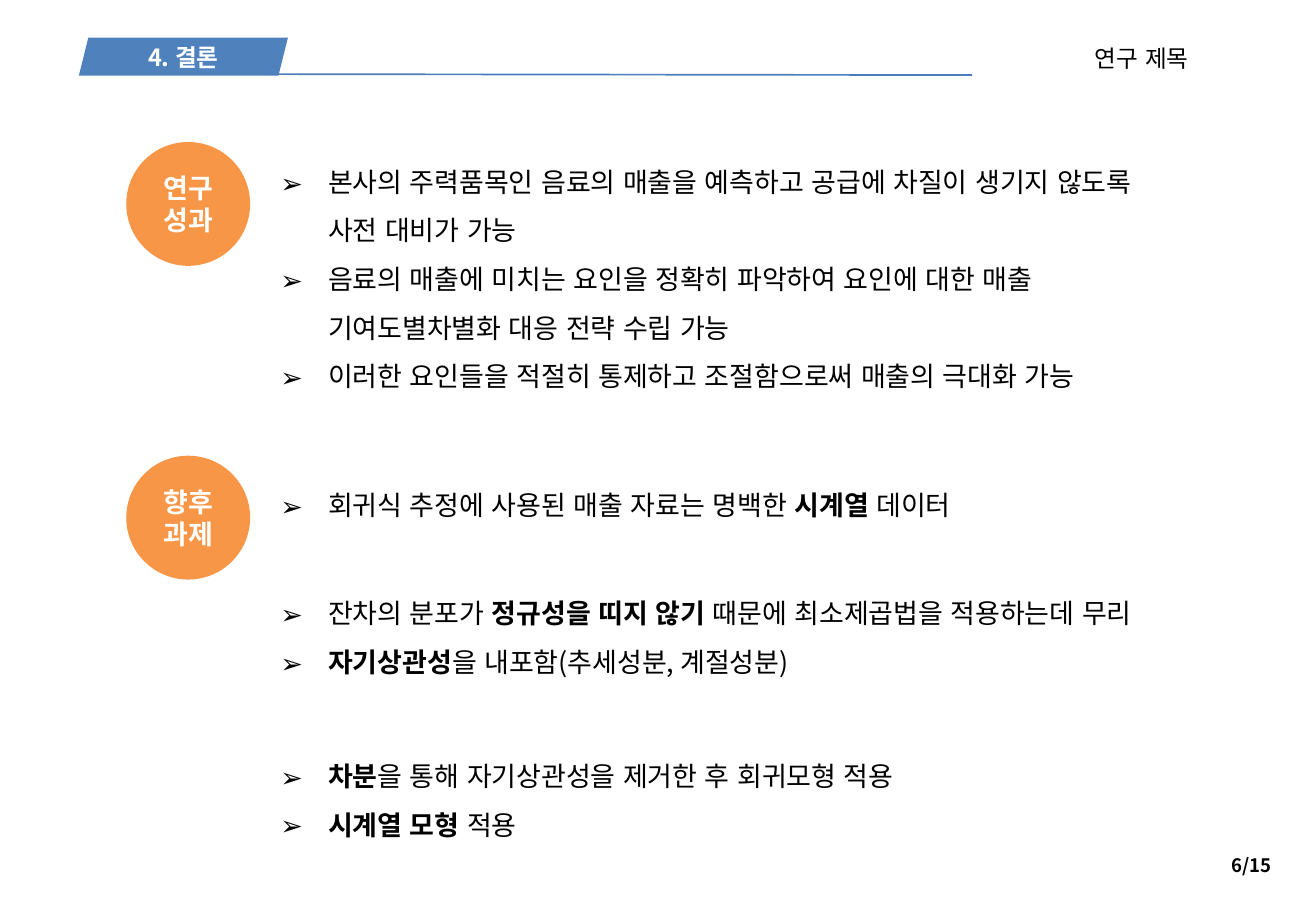
from lxml import etree
from pptx import Presentation
from pptx.dml.color import RGBColor
from pptx.enum import lang, shapes, text
from pptx.oxml import ns
from pptx.util import Cm, Pt

FONT = "Noto Sans CJK KR"
BLACK = RGBColor(0x00, 0x00, 0x00)
WHITE = RGBColor(0xFF, 0xFF, 0xFF)
BLUE = RGBColor(0x4F, 0x81, 0xBD)
RULE_BLUE = RGBColor(0x4B, 0x7E, 0xBC)
ORANGE = RGBColor(0xF7, 0x96, 0x46)
LEFT, CENTER, RIGHT, JUSTIFY = (
    text.PP_ALIGN.LEFT, text.PP_ALIGN.CENTER, text.PP_ALIGN.RIGHT, text.PP_ALIGN.JUSTIFY)

INDENT = Cm(1)
BADGE_SIZE = 2.59
BADGE_LEFT = 2.64
LIST_LEFT = 5.61

# Each list: top, width, height (cm), alignment, items.
# Each item: line spacing, then (text, bold) runs.
RESULTS = [
    (0, 19.05, 5.38, LEFT, [
        (1.5, [("본사의 주력품목인 음료의 매출을 예측하고 공급에 차질이 생기지 않도록 "
                "사전 대비가 가능", False)]),
        (1.5, [("음료의 매출에 미치는 요인을 정확히 파악하여 요인에 대한 매출 "
                "기여도별차별화 대응 전략 수립 가능", False)]),
        (1.5, [("이러한 요인들을 적절히 통제하고 조절함으로써 매출의 극대화 가능", False)]),
    ]),
]
NEXT_STEPS = [
    (0.23, 14.94, 1.27, LEFT, [
        (1.5, [("회귀식 추정에 사용된 매출 자료는 명백한 ", False), ("시계열", True),
               (" 데이터", False)]),
    ]),
    (2.82, 19.05, 1.96, JUSTIFY, [
        (1.0, [("잔차의 분포가 ", False), ("정규성을 띠지 않기", True),
               (" 때문에 최소제곱법을 적용하는데 무리", False)]),
        (1.5, [("자기상관성", True), ("을 내포함(추세성분, 계절성분)", False)]),
    ]),
    (5.94, 13.72, 2.18, LEFT, [
        (1.5, [("차분", True), ("을 통해 자기상관성을 제거한 후 회귀모형 적용", False)]),
        (1.5, [("시계열 모형 ", True), ("적용", False)]),
    ]),
]


def add_run(paragraph, words, size, color, bold=False):
    run = paragraph.add_run()
    run.text = words
    font = run.font
    font.name, font.size, font.bold = FONT, Pt(size), bold
    font.color.rgb = color
    font.language_id = lang.MSO_LANGUAGE_ID.KOREAN
    east_asian = etree.SubElement(run._r.get_or_add_rPr(), ns.qn("a:ea"))
    east_asian.set("typeface", FONT)


def add_text_box(slide, left, top, width, height):
    box = slide.shapes.add_textbox(Cm(left), Cm(top), Cm(width), Cm(height))
    box.text_frame.word_wrap = True
    box.text_frame.auto_size = text.MSO_AUTO_SIZE.SHAPE_TO_FIT_TEXT
    return box.text_frame


def add_label(slide, left, top, width, height, words, size, align, bold=False):
    paragraph = add_text_box(slide, left, top, width, height).paragraphs[0]
    paragraph.alignment = align
    add_run(paragraph, words, size, BLACK, bold)


def add_filled_shape(slide, kind, left, top, width, height, fill, words, size):
    shape = slide.shapes.add_shape(kind, Cm(left), Cm(top), Cm(width), Cm(height))
    shape.shadow.inherit = False
    shape.fill.solid()
    shape.fill.fore_color.rgb = fill
    shape.line.fill.background()
    shape.text_frame.word_wrap = True
    shape.text_frame.vertical_anchor = text.MSO_ANCHOR.MIDDLE
    paragraph = shape.text_frame.paragraphs[0]
    paragraph.alignment = CENTER
    add_run(paragraph, words, size, WHITE, bold=True)


def add_bullet(paragraph):
    properties = paragraph._p.get_or_add_pPr()
    properties.set("marL", str(INDENT))
    properties.set("indent", str(-INDENT))
    etree.SubElement(properties, ns.qn("a:buFont")).set("typeface", FONT)
    etree.SubElement(properties, ns.qn("a:buChar")).set("char", "➢")


def add_bullet_list(slide, left, top, width, height, align, items):
    frame = add_text_box(slide, left, top, width, height)
    frame.vertical_anchor = text.MSO_ANCHOR.MIDDLE
    for index, (spacing, runs) in enumerate(items):
        paragraph = frame.add_paragraph() if index else frame.paragraphs[0]
        add_bullet(paragraph)
        paragraph.alignment = align
        paragraph.line_spacing = spacing
        for words, bold in runs:
            add_run(paragraph, words, 16, BLACK, bold)


def add_header(slide, left, top, section, title):
    # Study title
    add_label(slide, left + 19.25, top, 5.94, 0.86, title, 14, CENTER)
    # Section tab
    add_filled_shape(slide, shapes.MSO_SHAPE.PARALLELOGRAM, left, top, 4.37, 0.79,
                     BLUE, section, 14)
    # Rule
    rule = slide.shapes.add_connector(
        shapes.MSO_CONNECTOR.STRAIGHT, Cm(left + 3.96), Cm(top + 0.76),
        Cm(left + 18.67), Cm(top + 0.78))
    rule.line.color.rgb = RULE_BLUE
    rule.line.width = Pt(1)
    etree.SubElement(rule._element.spPr, ns.qn("a:effectLst"))


def add_section(slide, top, name, lists):
    # Round badge
    add_filled_shape(slide, shapes.MSO_SHAPE.OVAL, BADGE_LEFT, top, BADGE_SIZE, BADGE_SIZE,
                     ORANGE, name, 16)
    # Bullet lists beside and below it
    for offset, width, height, align, items in lists:
        add_bullet_list(slide, LIST_LEFT, top + offset, width, height, align, items)


def main():
    presentation = Presentation()
    presentation.slide_width, presentation.slide_height = Cm(27.51), Cm(19.05)
    slide = presentation.slides.add_slide(presentation.slide_layouts[6])
    add_header(slide, 1.65, 0.79, "4. 결론", "연구 제목")
    add_section(slide, 2.97, "연구성과", RESULTS)
    add_section(slide, 9.53, "향후과제", NEXT_STEPS)
    # Page number
    add_label(slide, 20.9, 17.73, 5.94, 0.74, "6/15", 11, RIGHT, bold=True)
    presentation.save("out.pptx")


if __name__ == "__main__":
    main()
